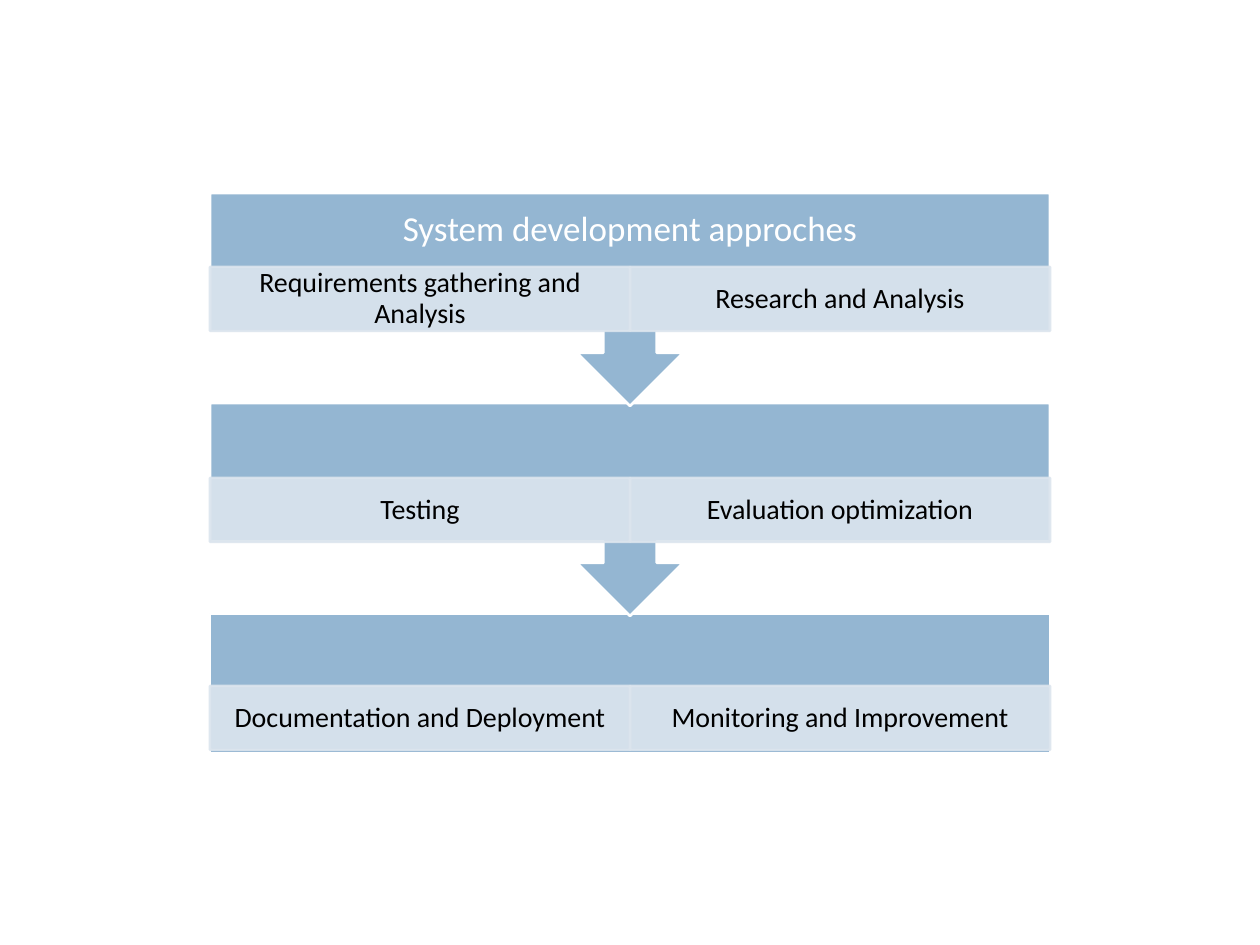
import pptx
import pptx.util
import pptx.dml.color
import pptx.enum.shapes
import pptx.enum.text
import pptx.oxml
import pptx.oxml.ns
from dataclasses import dataclass


@dataclass
class Theme:
    font: str = "Calibri"
    band: str = "94B6D2"
    cell: str = "DCE5EE"
    light: str = "FFFFFF"
    dark: str = "000000"
    title_size: int = 20
    cell_size: int = 16
    line_width: float = 1.5
    cell_alpha: int = 90000


theme = Theme()
RGB = pptx.dml.color.RGBColor.from_string
SHAPE = pptx.enum.shapes.MSO_SHAPE


def px(*values):
    """Turn pixels, 126 to the inch, into EMU."""
    return [pptx.util.Emu(round(v * 914400 / 126)) for v in values]


def write(sp, text, size, color, inset_x, inset_y):
    tf = sp.text_frame
    tf.word_wrap = True
    tf.auto_size = pptx.enum.text.MSO_AUTO_SIZE.NONE
    tf.vertical_anchor = pptx.enum.text.MSO_ANCHOR.MIDDLE
    tf.margin_left, tf.margin_right = px(inset_x, inset_x)
    tf.margin_top, tf.margin_bottom = px(inset_y, inset_y)
    p = tf.paragraphs[0]
    p.alignment = pptx.enum.text.PP_ALIGN.CENTER
    p.line_spacing = 0.9
    r = p.add_run()
    r.text = text
    r.font.name = theme.font
    r.font.size = pptx.util.Pt(size)
    r.font.color.rgb = RGB(color)


prs = pptx.Presentation()
prs.slide_width, prs.slide_height = px(1260, 945)
s = prs.slides.add_slide(prs.slide_layouts[5])

LEFT, WIDTH, CELL_WIDTH, CELL_HEIGHT = 210, 840, 420, 64

# Stage top, stage height, top of its cells, cell texts
stages = [
    (193, 213, 267, ["Requirements gathering and Analysis", "Research and Analysis"]),
    (403, 213, 478, ["Testing", "Evaluation optimization"]),
    (614, 139, 686, ["Documentation and Deployment", "Monitoring and Improvement"]),
]

# The last stage lies at the back, so that each arrow overlaps the stage below
for stage in reversed(stages):
    top, height, cell_top, texts = stage
    is_last = stage is stages[-1]
    kind = SHAPE.RECTANGLE if is_last else SHAPE.UP_ARROW_CALLOUT
    band = s.shapes.add_shape(kind, *px(LEFT, top, WIDTH, height))
    band.rotation = 0 if is_last else 180
    band.shadow.inherit = False
    band.fill.solid()
    band.fill.fore_color.rgb = RGB(theme.band)
    band.line.color.rgb = RGB(theme.light)
    band.line.width = pptx.util.Pt(theme.line_width)

    for i, text in enumerate(texts):
        cell = s.shapes.add_shape(
            SHAPE.RECTANGLE,
            *px(LEFT + i * CELL_WIDTH, cell_top, CELL_WIDTH, CELL_HEIGHT))
        cell.shadow.inherit = False
        cell.fill.solid()
        cell.fill.fore_color.rgb = RGB(theme.cell)
        cell.line.color.rgb = RGB(theme.cell)
        cell.line.width = pptx.util.Pt(theme.line_width)
        for color in cell.element.spPr.iter(pptx.oxml.ns.qn("a:srgbClr")):
            alpha = pptx.oxml.parse_xml(
                f'<a:alpha {pptx.oxml.ns.nsdecls("a")} val="{theme.cell_alpha}"/>')
            color.append(alpha)
        write(cell, text, theme.cell_size, theme.dark, 15, 2)

# The title sits on the first band, in front of it
title = s.shapes.title
title.left, title.top, title.width, title.height = px(LEFT, 193, WIDTH, 74)
write(title, "System development approches", theme.title_size, theme.light, 20, 20)
title.element.getparent().append(title.element)

prs.save("out.pptx")
